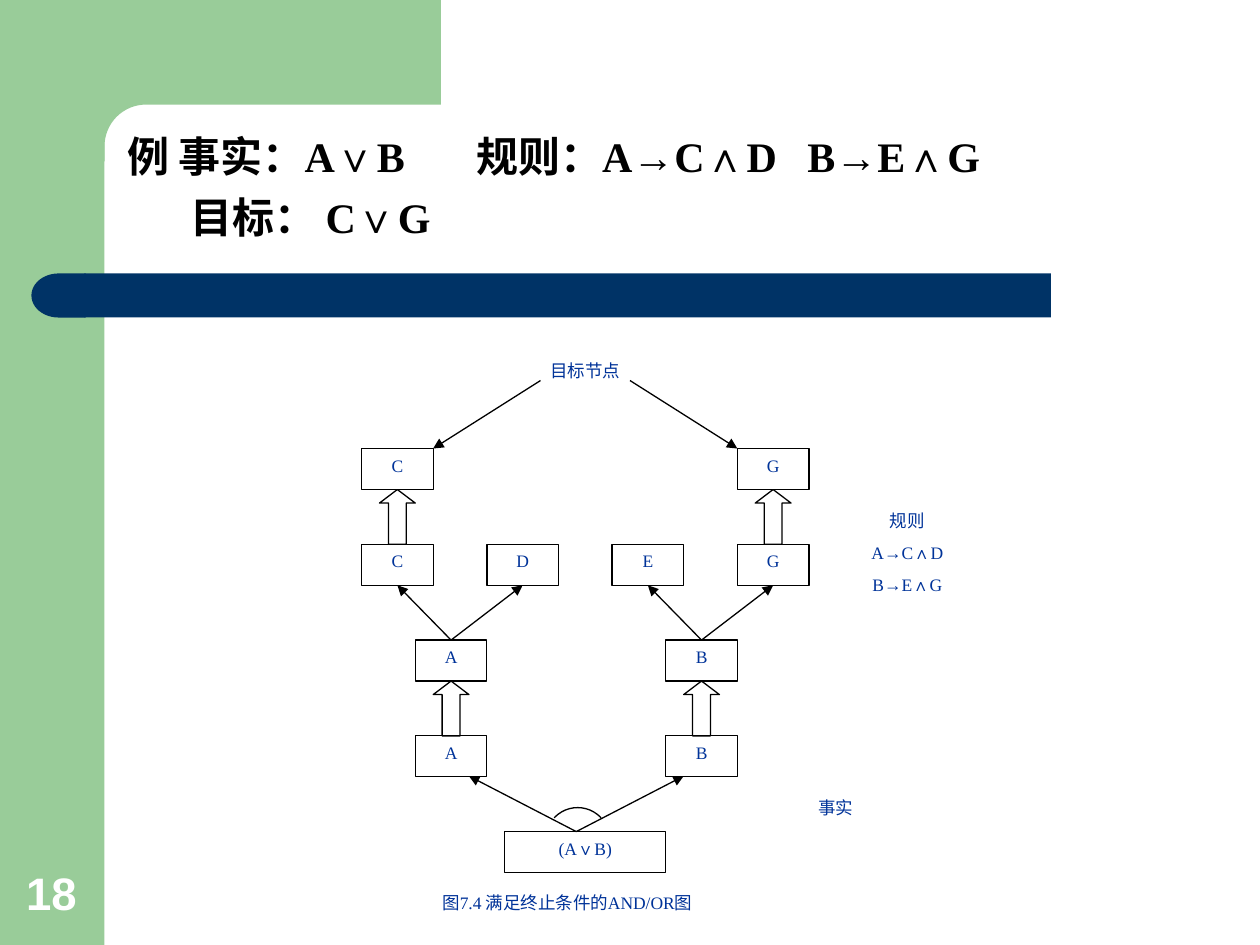
from math import cos, pi, sin

from lxml.etree import SubElement
from pptx import Presentation
from pptx.dml.color import RGBColor
from pptx.enum.shapes import MSO_CONNECTOR, MSO_SHAPE
from pptx.enum.text import MSO_ANCHOR, PP_ALIGN
from pptx.oxml.ns import qn
from pptx.util import Inches, Pt

# Content: positions are grid columns and rows
COLORS = {"green": "99CC99", "navy": "003366", "label": "003399",
          "black": "000000", "white": "FFFFFF"}
SERIF, SANS = "Times New Roman", "Arial"

TITLE = ["例 事实：A∨B\t规则：A→C∧D\tB→E∧G", "目标： C∨G"]
TITLE_TABS = [2.77, 5.4]
PAGE = "18"

NODES = {  # key: text, column, row, columns wide
    "goal C": ("C", 0, 0, 4), "goal G": ("G", 21, 0, 4),
    "C": ("C", 0, 1, 4), "D": ("D", 7, 1, 4),
    "E": ("E", 14, 1, 4), "G": ("G", 21, 1, 4),
    "rule A": ("A", 3, 2, 4), "rule B": ("B", 17, 2, 4),
    "fact A": ("A", 3, 3, 4), "fact B": ("B", 17, 3, 4),
    "root": ("(A∨B)", 8, 4, 9),
}
LABELS = [  # lines, column, row, columns wide
    (["目标节点"], 9, -0.99, 7),
    (["规则", "A→C∧D", "B→E∧G"], 27, 0.58, 7),
    (["事实"], 23, 3.57, 7),
    (["图7.4 满足终止条件的AND/OR图"], -2, 4.57, 27),
]
BRANCHES = [("rule A", "C"), ("rule A", "D"), ("rule B", "E"), ("rule B", "G")]
MATCHES = ["goal C", "goal G", "fact A", "fact B"]  # block arrow at these columns
POINTERS = [  # from (column, row), to (column, row)
    ((10, -0.71), (4, 0)), ((15, -0.71), (21, 0)),
    ((12, 4), (6, 3.42)), ((12, 4), (18, 3.42)),
]
ARC_ANGLES = (223, 317)  # degrees clockwise from the right

# Grid
LEFT, TOP, COL, ROW, BOX_H = 2.87, 3.56, 0.142, 0.76, 0.325

prs = Presentation()
prs.slide_width, prs.slide_height = Inches(10), Inches(7.5)
slide = prs.slides.add_slide(prs.slide_layouts[6])
shapes = slide.shapes


def x(column):
    return LEFT + COL * column


def y(row):
    return TOP + ROW * row


def color(name):
    return RGBColor.from_string(COLORS[name])


def paint(shape, fill=None, line=None):
    shape.shadow.inherit = False
    if fill:
        shape.fill.solid()
        shape.fill.fore_color.rgb = color(fill)
    else:
        shape.fill.background()
    if line:
        shape.line.color.rgb = color(line)
        shape.line.width = Pt(0.75)
    else:
        shape.line.fill.background()
    return shape


def add(kind, left, top, width, height, fill=None, line=None):
    box = map(Inches, (left, top, width, height))
    return paint(shapes.add_shape(kind, *box), fill, line)


def write(shape, lines, size, ink, face=SERIF, bold=False,
          align=PP_ALIGN.LEFT, anchor=MSO_ANCHOR.TOP):
    frame = shape.text_frame
    frame.word_wrap = True
    frame.vertical_anchor = anchor
    frame.text = "\n".join(lines)
    for paragraph in frame.paragraphs:
        paragraph.alignment = align
        font = paragraph.font
        font.name, font.size, font.bold = face, Pt(size), bold
        font.color.rgb = color(ink)
    return frame.paragraphs


def write_label(shape, lines):
    for paragraph in write(shape, lines, 10, "label", align=PP_ALIGN.CENTER):
        paragraph.space_before = Pt(6.2)


def add_arrow(start=(0, 0), end=(0, 0)):
    ends = [Inches(length) for length in (*start, *end)]
    arrow = shapes.add_connector(MSO_CONNECTOR.STRAIGHT, *ends)
    arrow.line.color.rgb = color("black")
    arrow.line.width = Pt(0.75)
    SubElement(arrow.line._get_or_add_ln(), qn("a:tailEnd"), type="triangle")
    SubElement(arrow._element.spPr, qn("a:effectLst"))
    return arrow


# Green side band and top block with a concave corner
add(MSO_SHAPE.RECTANGLE, 0, 0, 0.83, 7.5, "green")
RADIUS, STEPS = 0.33, 16
corner = [(1.16 - RADIUS * sin(i / STEPS * pi / 2),
           1.16 - RADIUS * cos(i / STEPS * pi / 2)) for i in range(STEPS + 1)]
outline = [(3.5, 0), (3.5, 0.83), *corner, (0.83, 1.28), (0.5, 1.28), (0.5, 0)]
points = [(Inches(px), Inches(py)) for px, py in outline]
builder = shapes.build_freeform(*points[0])
builder.add_line_segments(points[1:], close=True)
paint(builder.convert_to_shape(), "green")

# Navy bar with a round left end
add(MSO_SHAPE.RECTANGLE, 0.67, 2.17, 7.67, 0.35, "navy")
bar_end = add(MSO_SHAPE.FLOWCHART_DELAY, 0.25, 2.17, 0.43, 0.35, "navy")
bar_end._element.spPr.xfrm.set("flipH", "1")

# Page number and title
page = shapes.add_textbox(*map(Inches, (0.11, 6.82, 0.64, 0.53)))
write(page, [PAGE], 26, "white", SANS, True, anchor=MSO_ANCHOR.BOTTOM)

title = shapes.add_textbox(*map(Inches, (0.91, 0.88, 8.51, 1.09)))
facts, goal = write(title, TITLE, 24, "black", bold=True, anchor=MSO_ANCHOR.BOTTOM)
facts.line_spacing = goal.line_spacing = Pt(35)
goal._p.get_or_add_pPr().set("marL", str(Inches(0.5)))
facts_props = facts._p.get_or_add_pPr()
tabs = facts_props.makeelement(qn("a:tabLst"))
for stop in TITLE_TABS:
    SubElement(tabs, qn("a:tab"), pos=str(Inches(stop)), algn="l")
facts_props.find(qn("a:defRPr")).addprevious(tabs)

# Labels around the graph
for lines, column, row, columns in LABELS:
    label = shapes.add_textbox(*map(Inches, (
        x(column), y(row), COL * columns, BOX_H + 0.22 * (len(lines) - 1))))
    write_label(label, lines)

# Nodes
boxes = {}
for key, (text, column, row, columns) in NODES.items():
    boxes[key] = add(MSO_SHAPE.RECTANGLE, x(column), y(row), COL * columns,
                     BOX_H, "white", "black")
    write_label(boxes[key], [text])

# Block arrows up to the goals and from the facts
for key in MATCHES:
    _, column, row, _ = NODES[key]
    upper_row = row if key.startswith("goal") else row - 1
    match = add(MSO_SHAPE.UP_ARROW, x(column + 1), y(upper_row) + BOX_H,
                COL * 2, ROW - BOX_H, "white", "black")
    match.adjustments[0], match.adjustments[1] = 0.5, 0.38

# Rule branches, then free pointers
for parent, child in BRANCHES:
    branch = add_arrow()
    branch.begin_connect(boxes[parent], 0)
    branch.end_connect(boxes[child], 2)
for (from_col, from_row), (to_col, to_row) in POINTERS:
    add_arrow((x(from_col), y(from_row)), (x(to_col), y(to_row)))

# Arc across the two fact branches; 0.6 turns degrees into adjustment units
arc = add(MSO_SHAPE.ARC, 4.33, 6.41, 0.51, 0.51, line="black")
for i, degrees in enumerate(ARC_ANGLES):
    arc.adjustments[i] = degrees * 0.6

prs.save("out.pptx")
